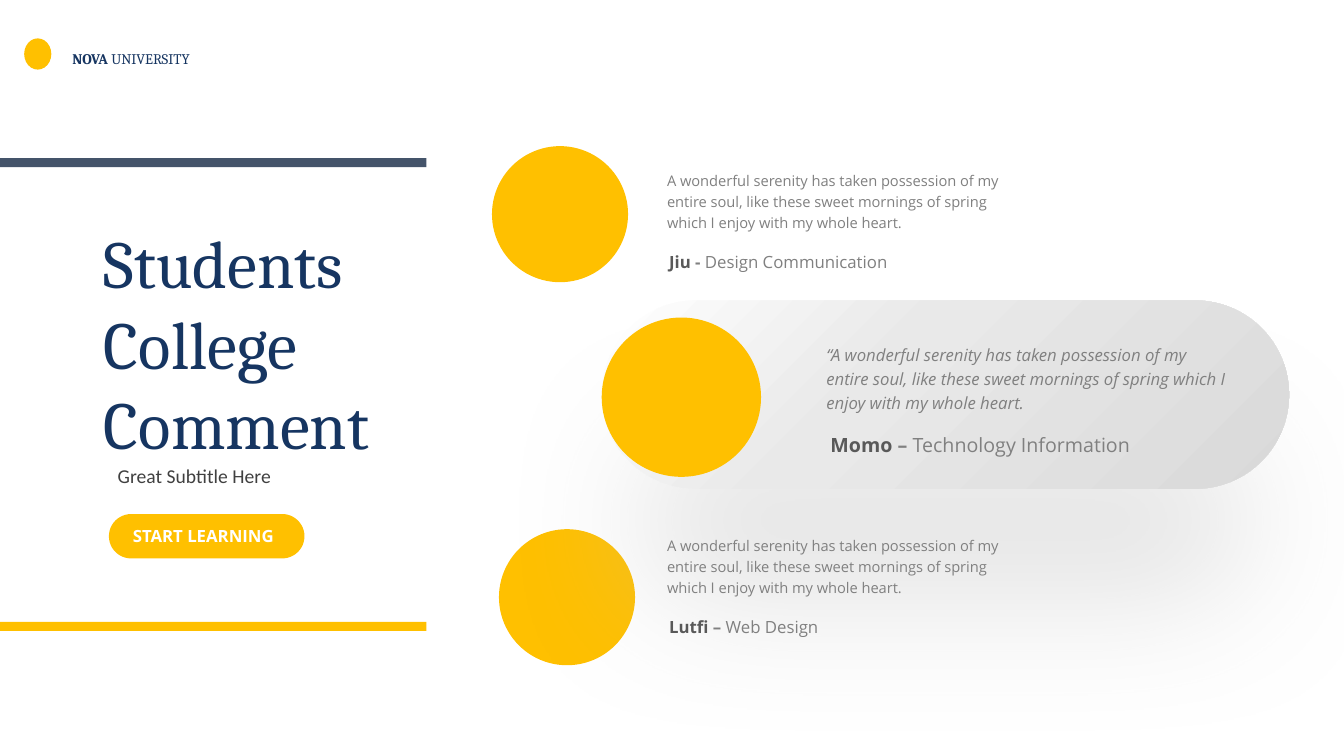
"""Build the slide of student comments."""
from copy import deepcopy
from dataclasses import dataclass
from typing import Any, NamedTuple

from lxml import etree
from pptx import Presentation
from pptx.dml.color import RGBColor
from pptx.enum.shapes import MSO_SHAPE
from pptx.enum.text import MSO_ANCHOR, MSO_AUTO_SIZE, PP_ALIGN
from pptx.oxml.ns import qn
from pptx.util import Pt

OVAL, RECT, ROUND = MSO_SHAPE.OVAL, MSO_SHAPE.RECTANGLE, MSO_SHAPE.ROUNDED_RECTANGLE
LEFT, TOP, MIDDLE = PP_ALIGN.LEFT, MSO_ANCHOR.TOP, MSO_ANCHOR.MIDDLE
FIXED = MSO_AUTO_SIZE.NONE


@dataclass(frozen=True)
class Theme:
    """Hold the colours, fonts and type sizes."""
    gold: str = "FFC000"
    slate: str = "44546A"
    navy: str = "163561"
    white: str = "FFFFFF"
    dark: str = "404040"
    ink: str = "595959"
    grey: str = "808080"
    shade: str = "BFBFBF"
    fade: tuple = ((0, "FFFFFF"), (0.4, "E9E9E9"), (1, "D9D9D9"))
    serif: str = "Cambria"
    plain: str = "Calibri"
    sans: str = "Open Sans"
    huge: float = 48
    large: float = 14
    mid: float = 12
    small: float = 10.5


class Box(NamedTuple):
    """Give a place and size in points."""
    left: float
    top: float
    width: float
    height: float


class Run(NamedTuple):
    """Give a piece of text and its format."""
    text: str
    size: float
    font: str
    color: str
    bold: bool = False
    italic: bool = False


class Quote(NamedTuple):
    """Describe one student comment."""
    disc: Box
    body: Box
    label: Box
    words: str
    name: str
    dash: str
    course: str
    size: float
    big: float
    italic: bool = False


T = Theme()
WORDS = ("A wonderful serenity has taken possession of my entire soul, like these "
         "sweet mornings of spring which I enjoy with my whole heart.")
SIDES = [
    Quote(Box(x, y, 97.2, 97.2), Box(469.4, top, 262.8, 51.8),
          Box(470.9, top + 59.4, 199.4, 21.6), WORDS, name, dash, course, T.small, T.mid)
    for x, y, top, name, dash, course in (
        (356.4, 378, 377.3, "Lutfi ", "– ", "Web Design"),
        (351.4, 104.4, 116.8, "Jiu ", "- ", "Design Communication"))]
STAR = Quote(Box(429.8, 226.8, 113.8, 113.8), Box(583.2, 239.8, 300.2, 58.3),
             Box(586.1, 306, 265.7, 24.5), "“" + WORDS, "Momo ", "– ",
             "Technology Information", T.mid, T.large, True)
PILL = Box(429.8, 214.6, 491, 134.6)


def span(box: Box) -> list:
    """Turn a box into lengths."""
    return [Pt(n) for n in box]


def put(item: Any, values: dict) -> None:
    """Set each named value on the item."""
    for key, value in values.items():
        setattr(item, key, value)


def draw(slide: Any, kind: Any, box: Box, color: str) -> Any:
    """Add a flat shape with no line."""
    shape = slide.shapes.add_shape(kind, *span(box))
    shape.shadow.inherit = False
    shape.fill.solid()
    shape.fill.fore_color.rgb = RGBColor.from_string(color)
    shape.line.fill.background()
    if kind == ROUND:
        shape.adjustments[0] = 0.5
    return shape


def fill_text(shape: Any, runs: list, space: float = 1, anchor: Any = TOP) -> None:
    """Write the runs as one paragraph."""
    frame = shape.text_frame
    put(frame, {"word_wrap": True, "auto_size": FIXED, "vertical_anchor": anchor})
    para = frame.paragraphs[0]
    put(para, {"alignment": LEFT, "line_spacing": space})
    for part in runs:
        run = para.add_run()
        run.text = part.text
        put(run.font, {"size": Pt(part.size), "name": part.font,
                       "bold": part.bold, "italic": part.italic})
        run.font.color.rgb = RGBColor.from_string(part.color)


def write(slide: Any, box: Box, runs: list, space: float = 1) -> None:
    """Add a text box."""
    fill_text(slide.shapes.add_textbox(*span(box)), runs, space)


def draw_pill(slide: Any) -> None:
    """Add the faded pill with its soft shadow."""
    pill = draw(slide, ROUND, PILL, T.white)
    pill.fill.gradient()
    pill.fill.gradient_angle = 315
    props = pill.element.spPr
    stops = props.find(".//" + qn("a:gsLst"))
    stops.insert(1, deepcopy(stops[0]))
    for stop, (place, color) in zip(pill.fill.gradient_stops, T.fade):
        stop.position = place
        stop.color.rgb = RGBColor.from_string(color)
    shade = etree.SubElement(
        props.find(qn("a:effectLst")), qn("a:outerShdw"), blurRad=str(Pt(100)),
        dist=str(Pt(90)), dir="5400000", sx="90000", sy="90000", algn="ctr",
        rotWithShape="0")
    color = etree.SubElement(shade, qn("a:srgbClr"), val=T.shade)
    etree.SubElement(color, qn("a:alpha"), val="40000")


def draw_quote(slide: Any, quote: Quote) -> None:
    """Write a comment and its author."""
    write(slide, quote.body,
          [Run(quote.words, quote.size, T.sans, T.grey, italic=quote.italic)], 1.2)
    write(slide, quote.label, [
        Run(quote.name, quote.big, T.sans, T.ink, True),
        Run(quote.dash, quote.big, T.sans, T.grey, True),
        Run(quote.course, quote.big, T.sans, T.grey)])


def main() -> None:
    """Build and save the deck."""
    deck = Presentation()
    put(deck, {"slide_width": Pt(960), "slide_height": Pt(540)})
    slide = deck.slides.add_slide(deck.slide_layouts[5])
    title = slide.shapes.title
    put(title, dict(zip(Box._fields, span(Box(67, 146.2, 288.7, 196.6)))))
    fill_text(title, [Run("Students College Comment", T.huge, T.serif, T.navy)],
              anchor=MIDDLE)

    for quote in SIDES:
        draw(slide, OVAL, quote.disc, T.gold)
    draw_pill(slide)
    draw(slide, OVAL, STAR.disc, T.gold)
    for top, color in ((113, T.slate), (444.2, T.gold)):
        draw(slide, RECT, Box(0, top, 304.6, 6.5), color)

    write(slide, Box(77, 327.6, 260.6, 24.5),
          [Run("Great Subtitle Here", T.large, T.plain, T.dark)])
    draw(slide, ROUND, Box(77.8, 367.2, 139.7, 31.7), T.gold)
    write(slide, Box(87.8, 372.2, 119.5, 21.6),
          [Run("START LEARNING", T.mid, T.sans, T.white, True)])
    draw(slide, OVAL, Box(17.3, 27.4, 19.4, 22.3), T.gold)
    write(slide, Box(44.6, 31.7, 108.7, 20.2), [
        Run("NOVA ", T.small, T.serif, T.navy, True),
        Run("UNIVERSITY", T.small, T.serif, T.navy)])
    for quote in (STAR, *SIDES):
        draw_quote(slide, quote)
    deck.save("out.pptx")


main()
